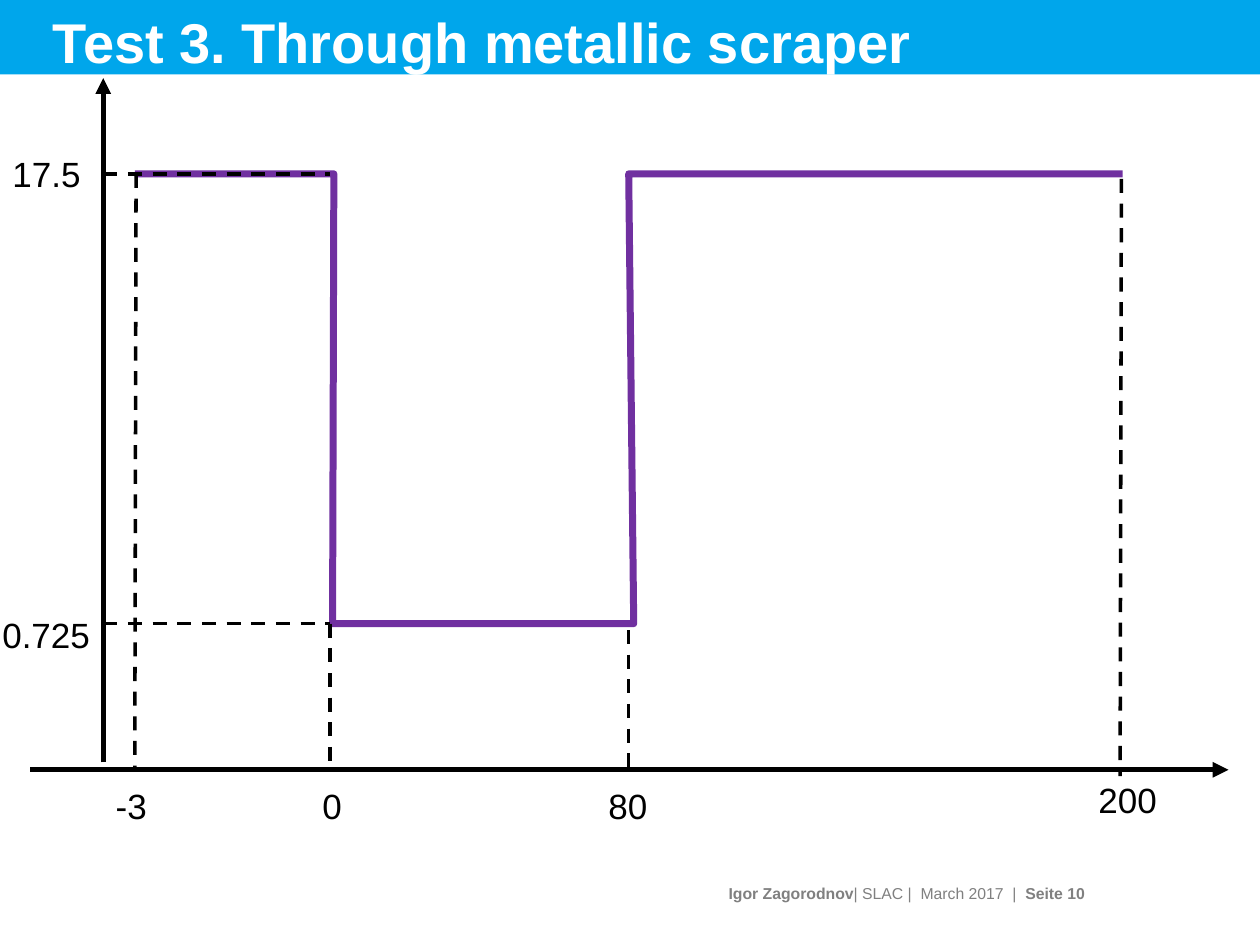
from dataclasses import dataclass

from lxml import etree
from pptx import Presentation
from pptx import util as u
from pptx.dml import color
from pptx.enum import dml, shapes, text
from pptx.oxml import ns

COLUMNS, ROWS = 100, 75
FONT = "Arial"
BLACK, WHITE, GREY = "000000", "FFFFFF", "808080"
BLUE, PURPLE = "00A6EB", "7030A0"


@dataclass
class Box:
    left: float
    top: float
    width: float
    height: float

    def point(self, column, row):
        return cells(self.left + column), cells(self.top + row)

    def frame(self):
        return [cells(n) for n in (self.left, self.top, self.width, self.height)]


def cells(count):
    return u.Inches(count * 10 / COLUMNS)


def rgb(value):
    return color.RGBColor.from_string(value)


def style_font(font, size, value, bold=False):
    font.name, font.size, font.bold = FONT, u.Pt(size), bold
    font.color.rgb = rgb(value)


def add_line(page, box, start, end, width, dashed=False, arrow=False):
    line = page.shapes.add_connector(
        shapes.MSO_CONNECTOR.STRAIGHT, *box.point(*start), *box.point(*end))
    line.line.width = u.Pt(width)
    line.line.color.rgb = rgb(BLACK)
    if dashed:
        line.line.dash_style = dml.MSO_LINE.DASH
    if arrow:
        etree.SubElement(line.line._get_or_add_ln(), ns.qn("a:tailEnd"), type="triangle")
    etree.SubElement(line._element.spPr, ns.qn("a:effectLst"))


def add_label(page, box, wording, column, row, width):
    label = page.shapes.add_textbox(*box.point(column, row), cells(width), cells(4.4))
    frame = label.text_frame
    frame.text = wording
    frame.word_wrap = False
    frame.auto_size = text.MSO_AUTO_SIZE.SHAPE_TO_FIT_TEXT
    style_font(frame.paragraphs[0].runs[0].font, 20, BLACK)


def add_header(page, box):
    banner = page.shapes.add_shape(shapes.MSO_SHAPE.RECTANGLE, *box.frame())
    banner.shadow.inherit = False
    banner.fill.solid()
    banner.fill.fore_color.rgb = rgb(BLUE)
    banner.line.fill.background()

    title = page.shapes.title
    page.shapes._spTree.append(title._element)
    title.left, title.top = box.point(3.2, 0.3)
    title.width, title.height = cells(93.2), cells(6)
    frame = title.text_frame
    frame.text = "Test 3. Through metallic scraper"
    frame.vertical_anchor = text.MSO_ANCHOR.MIDDLE
    para = frame.paragraphs[0]
    para.alignment = text.PP_ALIGN.LEFT
    style_font(para.runs[0].font, 32, WHITE, bold=True)


def add_footer(page, box):
    frame = page.shapes.add_textbox(*box.frame()).text_frame
    frame.word_wrap = True
    frame.margin_right = 0
    frame.vertical_anchor = text.MSO_ANCHOR.MIDDLE
    para = frame.paragraphs[0]
    para.alignment = text.PP_ALIGN.RIGHT
    parts = [("Igor Zagorodnov", True), ("| SLAC |  March 2017  |  ", False), ("Seite 10", True)]
    for wording, bold in parts:
        span = para.add_run()
        span.text = wording
        style_font(span.font, 9, GREY, bold)


def add_profile(page, box):
    high, low, base = 7.9, 43.6, 55.2
    axis, start, entry, leave, end = 8.2, 10.7, 26.2, 49.9, 89

    corners = [(start, high), (26.5, high), (26.4, low), (50.3, low), (leave, high), (89.1, high)]
    points = [box.point(*corner) for corner in corners]
    builder = page.shapes.build_freeform(*points[0])
    builder.add_line_segments(points[1:], close=False)
    profile = builder.convert_to_shape()
    profile.shadow.inherit = False
    profile.fill.background()
    profile.line.color.rgb = rgb(PURPLE)
    profile.line.width = u.Pt(4)

    add_line(page, box, (2.4, base), (97.5, base), 3, arrow=True)
    add_line(page, box, (axis, 54.6), (axis, 0.3), 3, arrow=True)

    guides = [
        ((entry, low), (entry, base)),
        ((leave, 44.1), (leave, 55.7)),
        ((10.8, high), (start, base)),
        ((end, 8.3), (88.9, 55.7)),
        ((axis, low), (entry, low)),
        ((axis, high), (entry, high)),
    ]
    for first, last in guides:
        add_line(page, box, first, last, 2, dashed=True)

    labels = [
        ("0", 24.6, 55.9, 3.6),
        ("80", 47.3, 55.9, 5.1),
        ("200", 86.2, 55.4, 6.7),
        ("-3", 8.2, 55.9, 4.5),
        ("0.725", -0.8, 42.3, 9),
        ("17.5", 0, 5.7, 7.5),
    ]
    for label in labels:
        add_label(page, box, *label)


def main():
    deck = Presentation()
    deck.slide_width, deck.slide_height = cells(COLUMNS), cells(ROWS)
    page = deck.slides.add_slide(deck.slide_layouts.get_by_name("Title Only"))
    add_header(page, Box(0, 0, COLUMNS, 5.9))
    add_footer(page, Box(3.1, 68.7, 83, 4.4))
    add_profile(page, Box(0, 5.9, COLUMNS, 60))
    deck.save("out.pptx")


if __name__ == "__main__":
    main()
